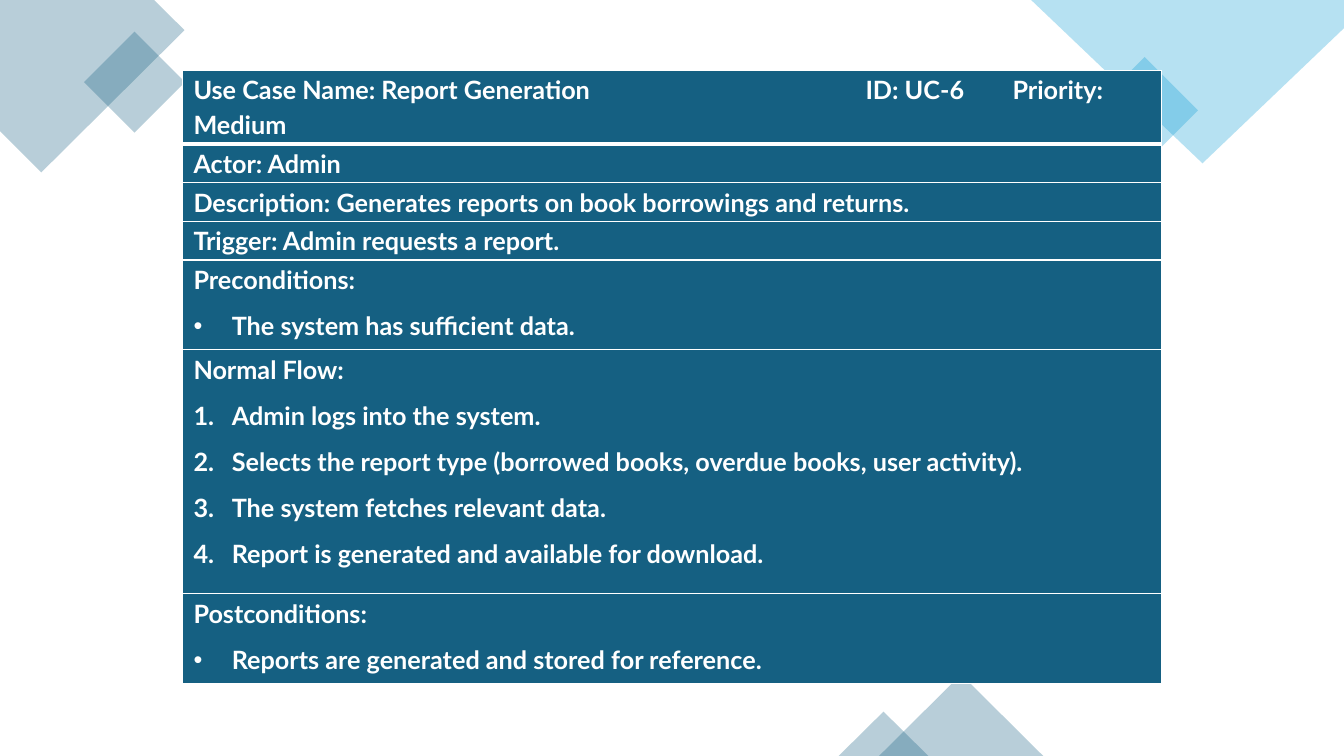
from lxml.etree import SubElement as Sub, Element as Elem
from pptx import Presentation
from pptx.dml.color import RGBColor as Rgb
from pptx.enum.shapes import MSO_SHAPE as Kind
from pptx.oxml.ns import qn
from pptx.util import Inches, Pt

HUES = {"navy": "156082", "sky": "0F9ED5", "white": "FFFFFF"}
COLS, ROWS = 160, 90
FONT = {"name": "Lato", "size": Pt(18), "bold": True}
PARA = {"line_spacing": 1.15, "space_after": Pt(8)}
PLAIN = {"first_row": False, "horz_banding": False}
INDENT = 4.56


class Deck:
    """Style and current slide; lengths are columns and rows of the grid."""

    def __init__(self, wide, high):
        self.prs = Presentation()
        self.prs.slide_width, self.prs.slide_height = Inches(wide), Inches(high)
        self.slide = self.prs.slides.add_slide(self.prs.slide_layouts[6])
        self.shapes = self.slide.shapes

    def x(self, cols):
        return round(self.prs.slide_width * cols / COLS)

    def y(self, rows):
        return round(self.prs.slide_height * rows / ROWS)

    def put(self, item, pairs):
        for key, val in pairs.items():
            setattr(item, key, val)

    def tint(self, shape, hue):
        shape.shadow.inherit = False
        shape.line.fill.background()
        shape.fill.solid()
        shape.fill.fore_color.rgb = Rgb.from_string(HUES[hue])
        clr = shape._element.spPr.find(qn("a:solidFill")).find(qn("a:srgbClr"))
        Sub(clr, qn("a:alpha"), val="30000")

    def shape(self, kind, hue, left, top, wide, high, turn=0):
        shape = self.shapes.add_shape(
            kind, self.x(left), self.y(top), self.x(wide), self.y(high))
        shape.rotation = turn
        self.tint(shape, hue)

    def free(self, hue, dots):
        dots = [(self.x(col), self.y(row)) for col, row in dots]
        pen = self.shapes.build_freeform(*dots[0], scale=1.0)
        pen.add_line_segments(dots[1:], close=True)
        self.tint(pen.convert_to_shape(), hue)

    def line(self, para, text, mark, tabs):
        self.put(para, PARA)
        run = para.add_run()
        run.text = text
        self.put(run.font, FONT)
        run.font.color.rgb = Rgb.from_string(HUES["white"])
        props = para._p.get_or_add_pPr()
        if mark:
            ind = self.x(INDENT)
            props.set("marL", str(ind))
            props.set("indent", str(-ind))
        if mark == "•":
            Sub(props, qn("a:buFont"), typeface="Arial")
            Sub(props, qn("a:buChar"), char=mark)
        elif mark:
            Sub(props, qn("a:buFont"), typeface="+mj-lt")
            Sub(props, qn("a:buAutoNum"), type="arabicPeriod")
        if tabs:
            stops = Sub(props, qn("a:tabLst"))
            for col in tabs:
                Sub(stops, qn("a:tab"), pos=str(self.x(col)), algn="l")

    def edge(self, cell, sides):
        props = cell._tc.get_or_add_tcPr()
        for spot, (side, size) in enumerate(sides.items()):
            rule = Elem(qn("a:ln" + side), w=str(Pt(size)))
            Sub(Sub(rule, qn("a:solidFill")), qn("a:srgbClr"), val=HUES["white"])
            props.insert(spot, rule)

    def table(self, left, top, wide, rows, tabs):
        high = sum(tall for tall, *_ in rows)
        grid = self.shapes.add_table(len(rows), 1, self.x(left), self.y(top),
                                     self.x(wide), self.y(high)).table
        self.put(grid, PLAIN)
        for at, (tall, head, mark, items) in enumerate(rows):
            grid.rows[at].height = self.y(tall)
            cell = grid.cell(at, 0)
            self.put(cell, {"margin_left": Inches(0.11), "margin_top": 0,
                            "margin_right": Inches(0.11), "margin_bottom": 0})
            cell.fill.solid()
            cell.fill.fore_color.rgb = Rgb.from_string(HUES["navy"])
            first = at == 0
            self.edge(cell, {"L": 1, "R": 1, "T": 1, "B": 3} if first
                      else {"L": 1, "R": 1, "B": 1})
            frame = cell.text_frame
            self.line(frame.paragraphs[0], head, None, tabs if first else ())
            for item in items:
                self.line(frame.add_paragraph(), item, mark, ())


def main():
    deck = Deck(13.33, 7.5)

    # Corner shapes
    deck.free("navy", [(0, 0), (18.36, 0), (21.96, 3.6), (4.92, 20.52), (0, 15.6)])
    deck.shape(Kind.RECTANGLE, "navy", 11.76, 5.52, 8.52, 8.52, 315)
    deck.shape(Kind.RECTANGLE, "sky", 131.76, 8.64, 9, 9, 315)
    deck.free("sky", [(122.76, 0), (160, 0), (160, 3.36), (143.16, 19.44)])

    # Peaks on the bottom edge
    for left, wide, high in [(104.64, 19.56, 9.72), (99.84, 10.68, 5.28)]:
        deck.shape(Kind.ISOSCELES_TRIANGLE, "navy", left, ROWS - high, wide, high)

    # Use case table: height, heading, mark, items
    deck.table(21.72, 8.4, 116.52, [
        (8.76, "Use Case Name: Report Generation\tID: UC-6\tPriority: Medium", None, []),
        (4.6, "Actor: Admin", None, []),
        (4.6, "Description: Generates reports on book borrowings and returns.", None, []),
        (4.6, "Trigger: Admin requests a report.", None, []),
        (10.7, "Preconditions:", "•", ["The system has sufficient data."]),
        (29.04, "Normal Flow:", "1.", [
            "Admin logs into the system.",
            "Selects the report type (borrowed books, overdue books, user activity).",
            "The system fetches relevant data.",
            "Report is generated and available for download."]),
        (10.7, "Postconditions:", "•", ["Reports are generated and stored for reference."]),
    ], tabs=(80, 97.5))

    deck.prs.save("out.pptx")


if __name__ == "__main__":
    main()
